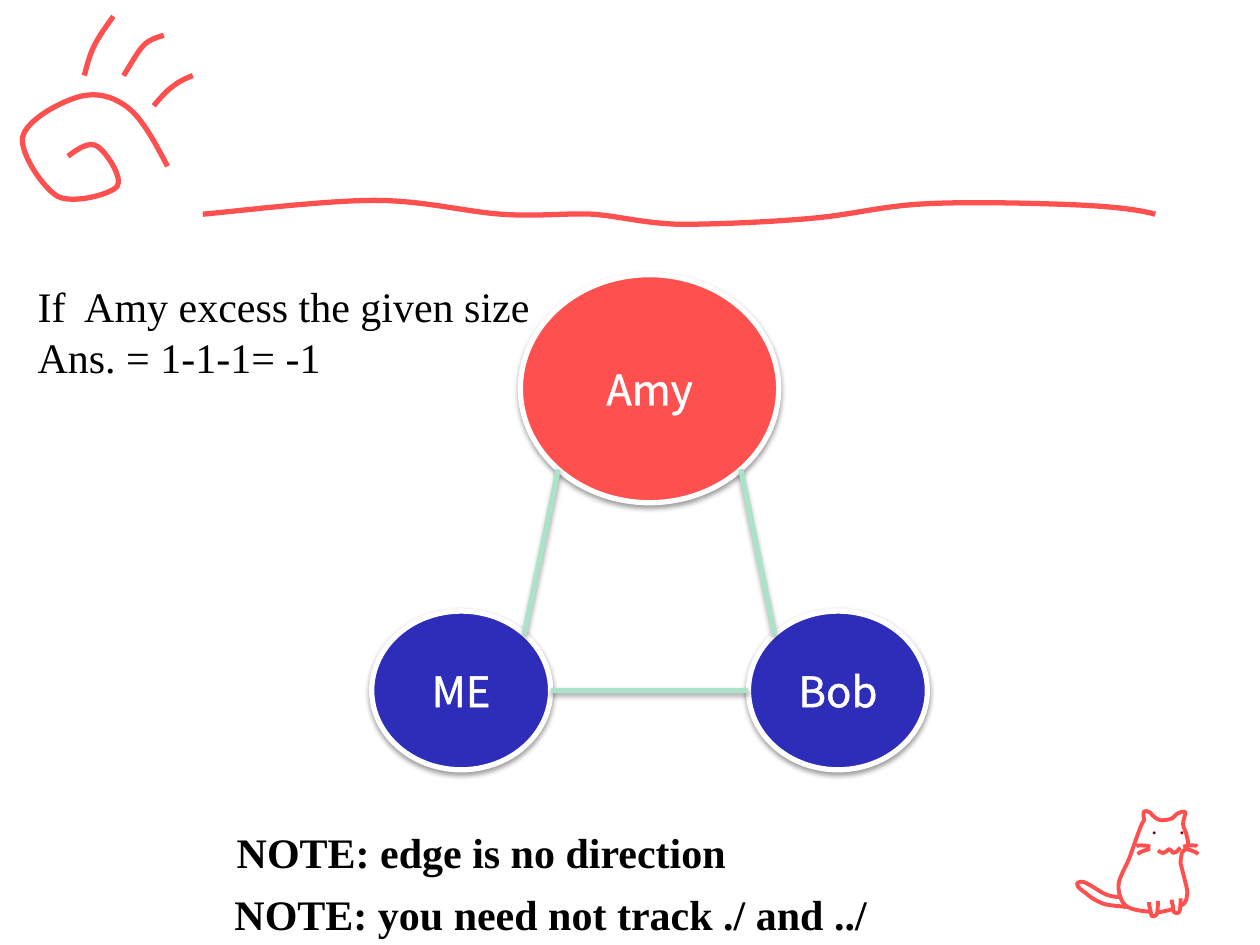
from math import cos, radians, sin

from lxml import etree
from pptx import Presentation
from pptx import util as u
from pptx.dml.color import RGBColor
from pptx.enum import shapes, text
from pptx.oxml.ns import qn

PX = u.Inches(1) // 100  # 100 px to the inch
RED = RGBColor(0xFF, 0x50, 0x50)
BLUE = RGBColor(0x2D, 0x2D, 0xB9)
GREEN = RGBColor(0xAA, 0xE2, 0xCA)
WHITE = RGBColor(0xFF, 0xFF, 0xFF)
BLACK = RGBColor(0, 0, 0)

# Strokes: a start point, then two handles and an end point for each curve
SUN = [
    [(54, 124), (62, 118), (71, 112), (77, 116), (84, 120), (98, 141), (93, 148),
     (88, 154), (59, 162), (46, 156), (34, 149), (16, 122), (18, 109),
     (21, 95), (48, 81), (62, 77), (76, 73), (89, 76), (101, 85),
     (113, 94), (123, 113), (133, 132)],
    [(67, 60), (69, 52), (71, 44), (75, 36), (79, 28), (85, 20), (90, 13)],
    [(98, 60), (104, 51), (109, 41), (114, 36), (119, 31), (124, 30), (130, 28)],
    [(122, 84), (127, 78), (132, 72), (138, 68), (143, 64), (148, 62), (153, 60)],
]
RULE = [
    (1, 20), (24, 18), (98, 9), (137, 9), (176, 9), (209, 18), (238, 20),
    (267, 22), (287, 19), (311, 20), (334, 22), (350, 27), (379, 28),
    (409, 28), (455, 26), (487, 23), (518, 20), (538, 14), (570, 12),
    (602, 10), (647, 11), (679, 12), (710, 13), (739, 15), (757, 20),
]
CAT_TAIL = [
    (41, 72), (38, 72), (33, 72), (28, 70), (23, 68), (14, 61), (10, 60),
    (7, 59), (4, 61), (5, 62), (5, 64), (9, 67), (12, 69),
    (15, 72), (20, 75), (25, 77), (30, 79), (40, 79), (44, 80),
]
CAT_BODY = [
    (91, 5), (91, 6), (89, 11), (89, 14), (89, 17), (92, 21), (92, 24),
    (93, 26), (93, 29), (93, 31), (92, 34), (89, 35), (88, 37),
    (88, 39), (87, 41), (87, 45), (88, 49), (90, 57), (91, 61),
    (92, 65), (93, 68), (92, 71), (92, 74), (91, 77), (87, 79),
    (84, 81), (76, 83), (70, 84), (64, 84), (55, 83), (51, 82),
    (46, 81), (43, 79), (41, 76), (39, 72), (37, 67), (38, 61),
    (39, 55), (43, 49), (46, 42), (49, 34), (53, 22), (55, 17),
    (57, 12), (57, 13), (58, 11), (58, 9), (57, 5), (58, 4),
    (59, 3), (61, 4), (63, 5), (64, 6), (65, 8), (67, 9),
    (68, 10), (69, 10), (71, 11), (73, 11), (76, 11), (79, 10),
    (81, 10), (82, 7), (84, 6), (86, 5), (90, 3), (91, 5),
]
CAT_MOUTH = [
    (87, 33), (86, 33), (85, 35), (84, 36), (83, 37), (82, 37), (81, 37),
    (80, 36), (79, 34), (78, 34), (77, 34), (75, 37), (73, 37),
    (72, 37), (70, 36), (69, 35),
]
CAT_LEGS = [
    [(87, 73), (87, 74), (87, 82), (86, 84), (85, 85), (83, 85), (82, 84),
     (81, 83), (81, 81), (81, 79), (80, 78), (80, 75), (80, 74)],
    [(69, 75), (69, 77), (69, 84), (68, 86), (67, 88), (65, 87), (64, 87),
     (64, 86), (63, 84), (63, 82), (62, 80), (62, 77), (62, 76)],
]
# Left whiskers, each with the sum of x that mirrors it to the right
CAT_WHISKERS = [
    (154, [(63, 34), (61, 34), (58, 35), (56, 36), (55, 36), (54, 37), (53, 38)]),
    (152, [(63, 32), (60, 31), (57, 31), (55, 31), (53, 31), (52, 31), (52, 32)]),
]


def draw_stroke(parent, left, top, stroke, width, fill=None):
    """Draw a chain of cubic curves; three line points become one curve."""
    points = [((left + x) * PX, (top + y) * PX) for x, y in stroke]
    builder = parent.shapes.build_freeform(*points[0])
    builder.add_line_segments(points[1:], close=False)
    shape = builder.convert_to_shape()
    outline = shape._element.find(".//" + qn("a:path"))
    segments = outline.findall(qn("a:lnTo"))
    for i in range(0, len(segments), 3):
        curve = etree.SubElement(outline, qn("a:cubicBezTo"))
        for segment in segments[i:i + 3]:
            curve.append(segment[0])
            outline.remove(segment)
    if stroke[0] == stroke[-1]:
        etree.SubElement(outline, qn("a:close"))
    paint(shape, fill, RED, width)


def paint(shape, fill, line, width):
    shape.shadow.inherit = False
    if fill is None:
        shape.fill.background()
    else:
        shape.fill.solid()
        shape.fill.fore_color.rgb = fill
    shape.line.color.rgb = line
    shape.line.width = u.Pt(width)


def add_shadow(shape, distance, opacity):
    properties = shape._element.spPr
    effects = properties.find(qn("a:effectLst"))
    if effects is None:
        effects = etree.SubElement(properties, qn("a:effectLst"))
    shadow = etree.SubElement(effects, qn("a:outerShdw"), blurRad=str(u.Pt(3.1)),
                              dist=str(u.Pt(distance)), dir="5400000", rotWithShape="0")
    color = etree.SubElement(shadow, qn("a:srgbClr"), val="000000")
    etree.SubElement(color, qn("a:alpha"), val=str(opacity * 1000))


def draw_header(slide, left, top):
    for stroke in SUN:
        draw_stroke(slide, left, top, stroke, 3)
    draw_stroke(slide, left + 160, top + 150, RULE, 3)


def draw_cat(slide, left, top):
    cat = slide.shapes.add_group_shape()
    draw_stroke(cat, left, top, CAT_TAIL, 2.25)
    draw_stroke(cat, left, top, CAT_BODY, 2.25, WHITE)
    draw_stroke(cat, left, top, CAT_MOUTH, 2.25)
    for x in (65, 87):
        eye = cat.shapes.add_shape(shapes.MSO_SHAPE.OVAL, (left + x) * PX,
                                   (top + 20) * PX, 2 * PX, 2 * PX)
        paint(eye, BLACK, RED, 0.25)
    for leg in CAT_LEGS:
        draw_stroke(cat, left, top, leg, 2.25, WHITE)
    for mirror, whisker in CAT_WHISKERS:
        draw_stroke(cat, left, top, whisker, 2.25)
        draw_stroke(cat, left, top, [(mirror - x, y) for x, y in whisker], 2.25)


def outline_text(run):
    line = etree.Element(qn("a:ln"), w=str(u.Pt(1.45)))
    fill = etree.SubElement(line, qn("a:solidFill"))
    etree.SubElement(fill, qn("a:srgbClr"), val=str(WHITE))
    run._r.get_or_add_rPr().insert(0, line)


def add_node(slide, name, left, top, width, height, fill):
    node = slide.shapes.add_shape(shapes.MSO_SHAPE.OVAL, left * PX, top * PX,
                                  width * PX, height * PX)
    paint(node, fill, WHITE, 3)
    add_shadow(node, 1.6, 38)
    node.text_frame.vertical_anchor = text.MSO_ANCHOR.MIDDLE
    write(node.text_frame, [name], "Noto Sans CJK JP", WHITE, text.PP_ALIGN.CENTER)
    outline_text(node.text_frame.paragraphs[0].runs[0])
    return node


def rim(node, degrees):
    """Return the point on the oval's edge, clockwise from the right."""
    angle = radians(degrees)
    return (round(node.left + node.width / 2 * (1 + cos(angle))),
            round(node.top + node.height / 2 * (1 + sin(angle))))


def draw_graph(slide, left, top):
    me = add_node(slide, "ME", left, top + 267, 142, 126, BLUE)
    amy = add_node(slide, "Amy", left + 118, top, 205, 181, RED)
    bob = add_node(slide, "Bob", left + 299, top + 267, 142, 126, BLUE)
    edges = [(me, -45, amy, 135), (me, 0, bob, 180), (bob, -135, amy, 45)]
    for start, start_angle, end, end_angle in edges:
        edge = slide.shapes.add_connector(shapes.MSO_CONNECTOR.STRAIGHT,
                                          *rim(start, start_angle), *rim(end, end_angle))
        edge.line.color.rgb = GREEN
        edge.line.width = u.Pt(3)
        add_shadow(edge, 1.8, 35)


def write(frame, lines, font, color, align, bold=False):
    frame.text = "\n".join(lines)
    for paragraph in frame.paragraphs:
        paragraph.alignment = align
        paragraph.font.name = font
        paragraph.font.size = u.Pt(24)
        paragraph.font.bold = bold
        paragraph.font.color.rgb = color


def add_text(slide, left, top, width, height, lines, align, bold=False):
    box = slide.shapes.add_textbox(left * PX, top * PX, width * PX, height * PX)
    box.text_frame.word_wrap = True
    box.text_frame.auto_size = text.MSO_AUTO_SIZE.SHAPE_TO_FIT_TEXT
    write(box.text_frame, lines, "Times New Roman", BLACK, align, bold)


def main():
    presentation = Presentation()
    presentation.slide_width, presentation.slide_height = 1000 * PX, 750 * PX
    slide = presentation.slides.add_slide(presentation.slide_layouts[6])
    draw_cat(slide, 850, 640)
    draw_header(slide, 0, 0)
    draw_graph(slide, 295, 218)
    # Notes and answer
    center = text.PP_ALIGN.CENTER
    add_text(slide, 138, 651, 488, 50, ["NOTE: edge is no direction"], center, True)
    add_text(slide, 138, 700, 598, 50, ["NOTE: you need not track ./ and ../"], center, True)
    add_text(slide, 20, 218, 413, 91,
             ["If  Amy excess the given size", "Ans. = 1-1-1= -1"], text.PP_ALIGN.LEFT)
    presentation.save("out.pptx")


if __name__ == "__main__":
    main()
